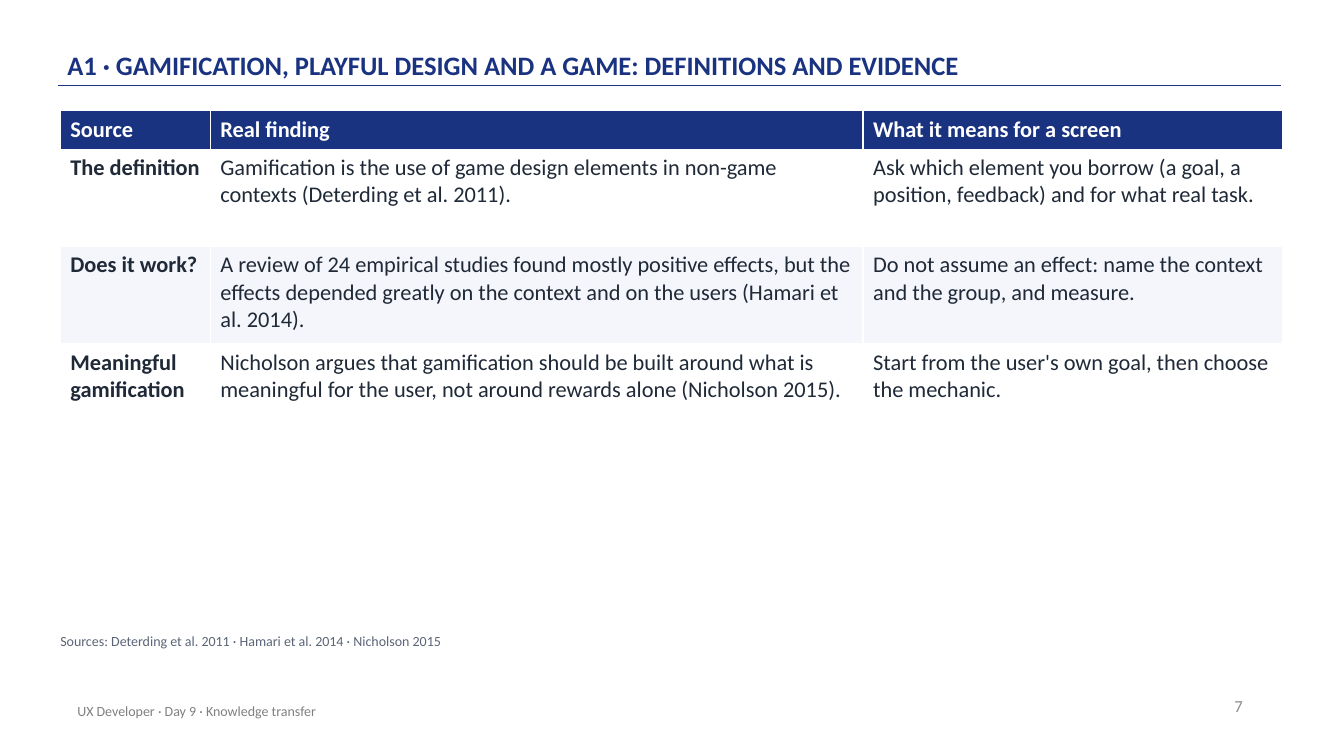
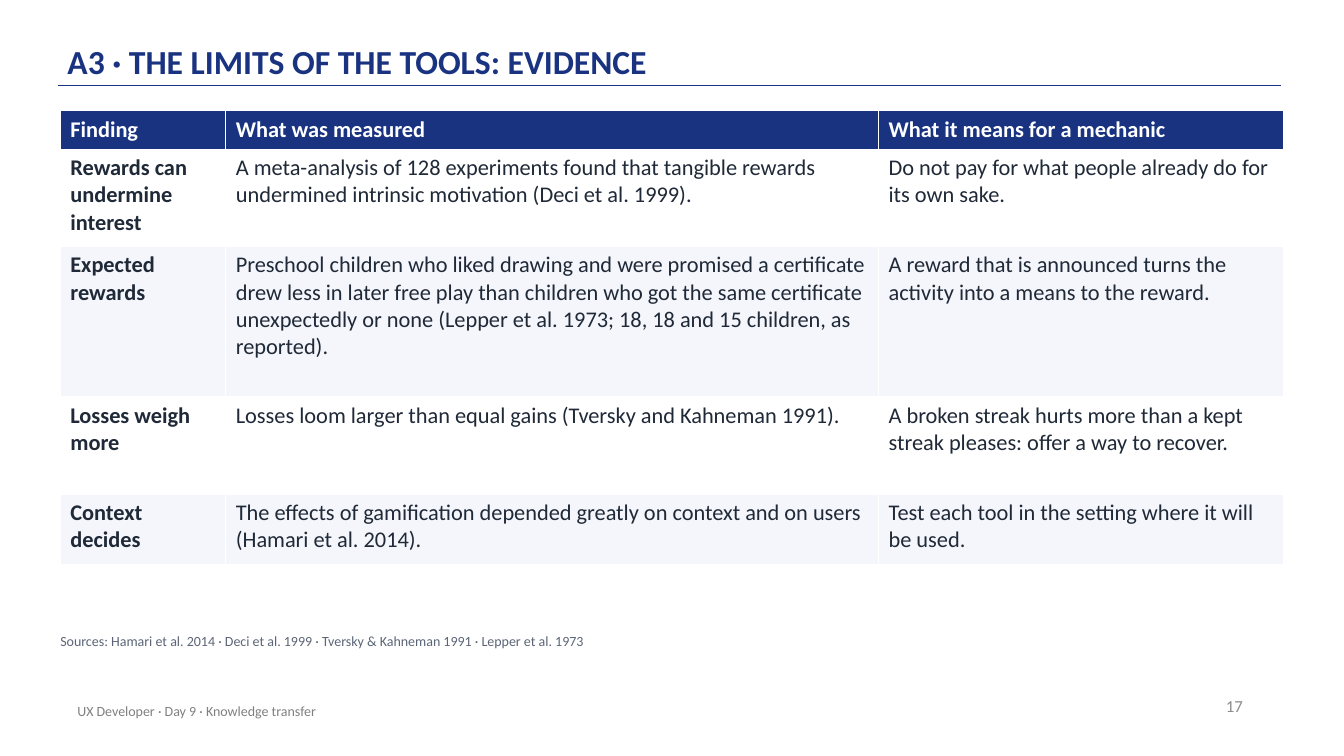
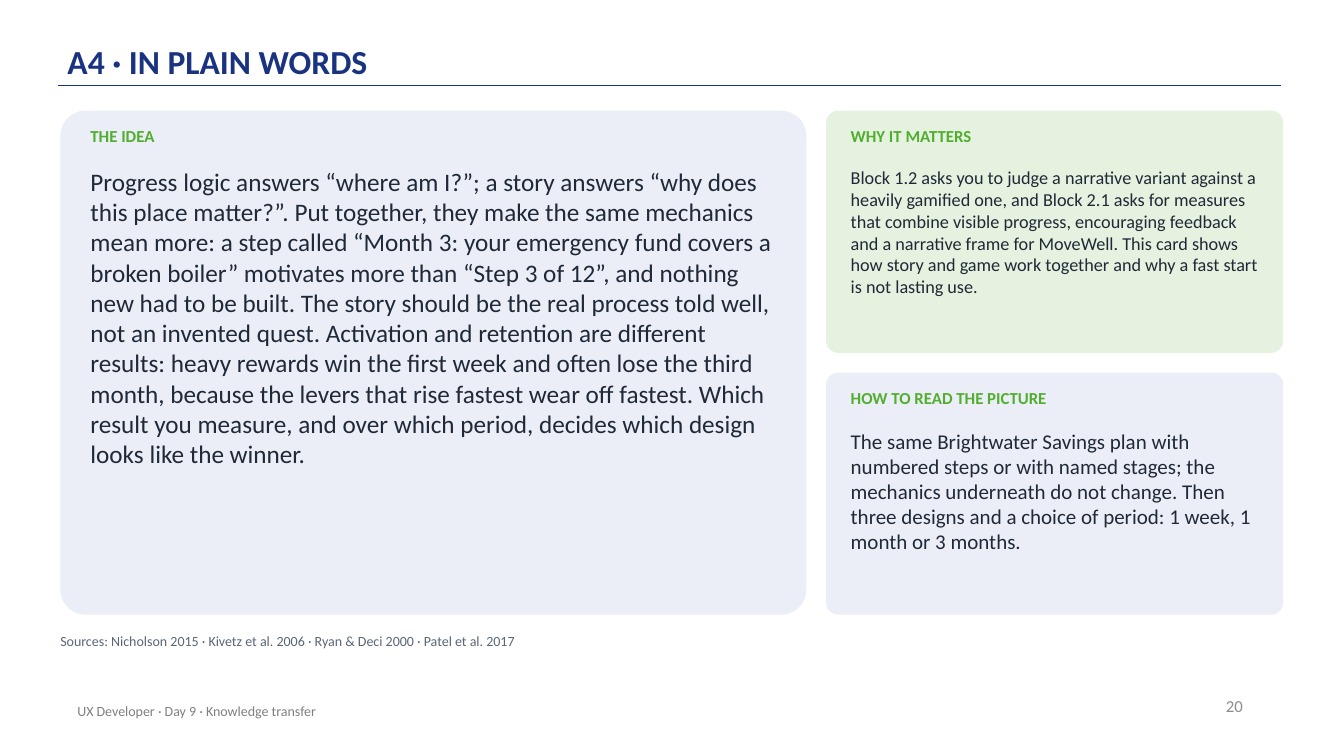
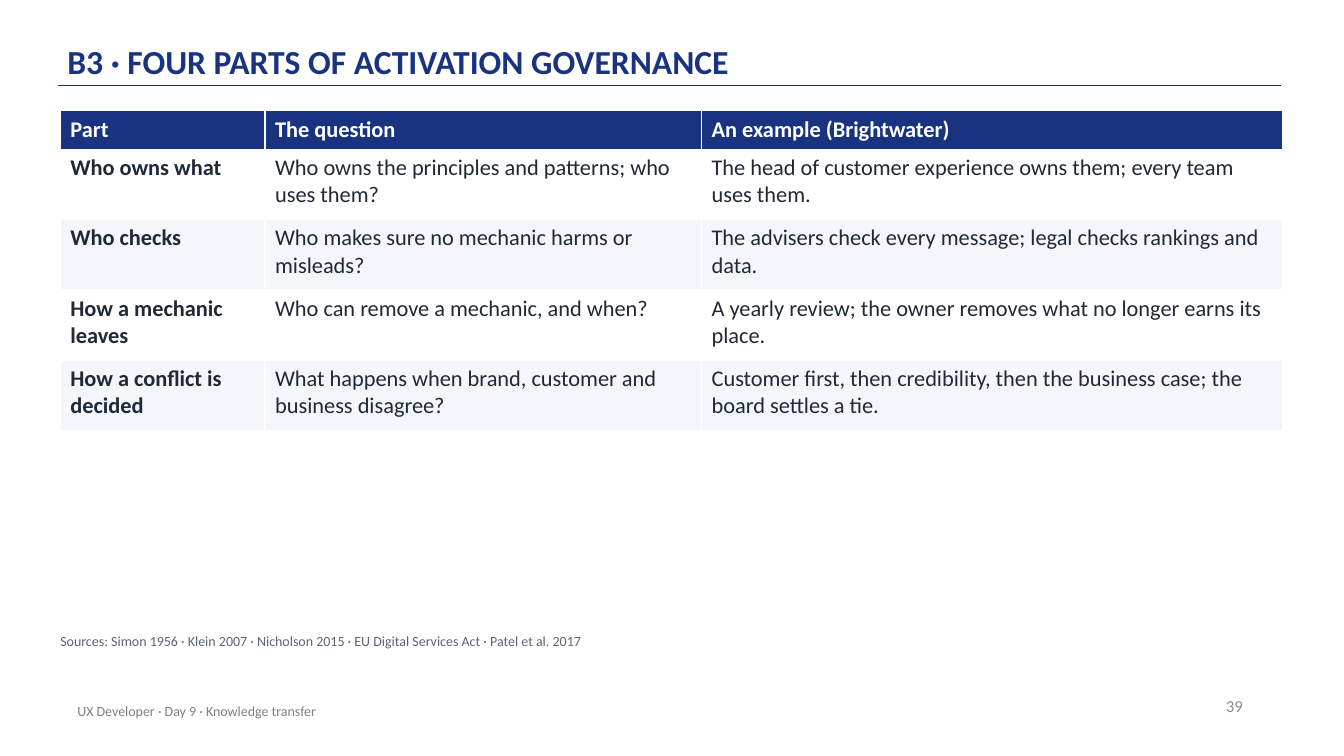
from lxml import etree
from pptx import Presentation
from pptx.dml.color import RGBColor
from pptx.enum.shapes import MSO_CONNECTOR, MSO_SHAPE
from pptx.enum.text import MSO_ANCHOR, PP_ALIGN
from pptx.oxml.ns import qn
from pptx.util import Cm, Pt

LINE, ROUND = MSO_CONNECTOR.STRAIGHT, MSO_SHAPE.ROUNDED_RECTANGLE
TOP, MIDDLE, BOTTOM = MSO_ANCHOR.TOP, MSO_ANCHOR.MIDDLE, MSO_ANCHOR.BOTTOM
LEFT, RIGHT = PP_ALIGN.LEFT, PP_ALIGN.RIGHT

FONT = "Calibri"
NAVY, GREEN, INK, WHITE = "1A3381", "51AE2F", "1F2937", "FFFFFF"
SLATE, GRAY, PALE = "5B6577", "808080", "8C8C8C"
LILAC, MINT, STRIPE = "ECEEF7", "E5F2DF", "F4F6FB"

EDGE, HEAD = 1.52, 2.79  # left and top of the content area, in cm
HIGH, MID, LOW = 2.45, 1.77, 0.97  # row heights, in cm


def color(code):
    return RGBColor.from_string(code)


def style(para, size, tint, bold=False):
    font = para.font
    font.name, font.size, font.bold = FONT, Pt(size), bold
    font.color.rgb = color(tint)


def label(slide, box, text, size, tint, bold=False, anchor=TOP,
          align=LEFT, pads=(0, 0)):
    """Add a one-paragraph text box; pads are the side and top insets in cm."""
    frame = slide.shapes.add_textbox(*map(Cm, box)).text_frame
    frame.word_wrap = True
    frame.vertical_anchor = anchor
    frame.margin_left = frame.margin_right = Cm(pads[0])
    frame.margin_top = frame.margin_bottom = Cm(pads[1])
    para = frame.paragraphs[0]
    para.text = text
    para.alignment = align
    style(para, size, tint, bold)
    return para


def base(deck, title, number, sources, size=24):
    """Add a slide with its title, rule, sources and footer."""
    slide = deck.slides.add_slide(deck.slide_layouts[6])
    rule = slide.shapes.add_connector(
        LINE, Cm(32.28), Cm(2.16), Cm(1.47), Cm(2.16))
    rule.line.color.rgb = color(NAVY)
    rule.line.width = Pt(1)
    etree.SubElement(rule._element.spPr, qn("a:effectLst"))
    para = label(slide, (1.7, 0.3, 27.94, 1.83), title, size, NAVY, True,
                 BOTTOM, pads=(0, 0.08))
    para.line_spacing = 0.9
    label(slide, (EDGE, 15.93, 30.73, 0.76), "Sources: " + sources, 10, SLATE)
    inset = (0.25, 0.13)
    label(slide, (23.95, 17.27, 7.62, 1.02), str(number), 12, PALE,
          anchor=MIDDLE, align=RIGHT, pads=inset)
    label(slide, (1.7, 17.4, 17.02, 1.02),
          "UX Developer · Day 9 · Knowledge transfer", 10, GRAY,
          anchor=MIDDLE, pads=inset)
    return slide


def grid(slide, left, top, widths, heights, rows):
    """Add a table with a navy head, striped rows and a bold first column."""
    box = map(Cm, (left, top, sum(widths), sum(heights)))
    table = slide.shapes.add_table(len(rows), len(widths), *box).table
    for col, width in zip(table.columns, widths):
        col.width = Cm(width)
    for r, (texts, height) in enumerate(zip(rows, heights)):
        table.rows[r].height = Cm(height)
        fill = NAVY if r == 0 else WHITE if r % 2 else STRIPE
        for c, text in enumerate(texts):
            cell = table.cell(r, c)
            cell.fill.solid()
            cell.fill.fore_color.rgb = color(fill)
            cell.text = text
            style(cell.text_frame.paragraphs[0], 16,
                  WHITE if r == 0 else INK, r == 0 or c == 0)


def card(slide, box, pad, fill, head, body, size):
    left, top, width, height = box
    panel = slide.shapes.add_shape(ROUND, *map(Cm, box))
    panel.adjustments[0] = 0.05
    panel.shadow.inherit = False
    panel.fill.solid()
    panel.fill.fore_color.rgb = color(fill)
    panel.line.fill.background()
    inner = width - 2 * pad
    label(slide, (left + pad, top + 0.38, inner, 0.89), head, 12, GREEN, True)
    label(slide, (left + pad, top + 1.4, inner, height - 1.7), body, size, INK)


def main():
    deck = Presentation()
    deck.slide_width, deck.slide_height = Cm(33.87), Cm(19.05)

    slide = base(
        deck,
        "A1 · GAMIFICATION, PLAYFUL DESIGN AND A GAME: DEFINITIONS AND EVIDENCE",
        7, "Deterding et al. 2011 · Hamari et al. 2014 · Nicholson 2015", 19)
    grid(slide, EDGE, HEAD, (3.78, 16.45, 10.58), (LOW, HIGH, HIGH, HIGH), [
        ("Source", "Real finding", "What it means for a screen"),
        ("The definition",
         "Gamification is the use of game design elements in non-game "
         "contexts (Deterding et al. 2011).",
         "Ask which element you borrow (a goal, a position, feedback) and "
         "for what real task."),
        ("Does it work?",
         "A review of 24 empirical studies found mostly positive effects, "
         "but the effects depended greatly on the context and on the users "
         "(Hamari et al. 2014).",
         "Do not assume an effect: name the context and the group, and "
         "measure."),
        ("Meaningful gamification",
         "Nicholson argues that gamification should be built around what is "
         "meaningful for the user, not around rewards alone (Nicholson 2015).",
         "Start from the user's own goal, then choose the mechanic."),
    ])

    slide = base(
        deck, "A3 · THE LIMITS OF THE TOOLS: EVIDENCE", 17,
        "Hamari et al. 2014 · Deci et al. 1999 · Tversky & Kahneman 1991 · "
        "Lepper et al. 1973")
    grid(slide, EDGE, HEAD, (4.17, 16.45, 10.2), (LOW, HIGH, 3.79, HIGH, MID), [
        ("Finding", "What was measured", "What it means for a mechanic"),
        ("Rewards can undermine interest",
         "A meta-analysis of 128 experiments found that tangible rewards "
         "undermined intrinsic motivation (Deci et al. 1999).",
         "Do not pay for what people already do for its own sake."),
        ("Expected rewards",
         "Preschool children who liked drawing and were promised a "
         "certificate drew less in later free play than children who got the "
         "same certificate unexpectedly or none (Lepper et al. 1973; 18, 18 "
         "and 15 children, as reported).",
         "A reward that is announced turns the activity into a means to the "
         "reward."),
        ("Losses weigh more",
         "Losses loom larger than equal gains (Tversky and Kahneman 1991).",
         "A broken streak hurts more than a kept streak pleases: offer a way "
         "to recover."),
        ("Context decides",
         "The effects of gamification depended greatly on context and on "
         "users (Hamari et al. 2014).",
         "Test each tool in the setting where it will be used."),
    ])

    slide = base(
        deck, "A4 · IN PLAIN WORDS", 20,
        "Nicholson 2015 · Kivetz et al. 2006 · Ryan & Deci 2000 · "
        "Patel et al. 2017")
    gap, tall, wide = 0.5, 12.7, 18.8
    side = EDGE + wide + gap
    short = (tall - gap) / 2
    card(slide, (EDGE, HEAD, wide, tall), 0.76, LILAC, "THE IDEA",
         "Progress logic answers “where am I?”; a story answers “why does "
         "this place matter?”. Put together, they make the same mechanics "
         "mean more: a step called “Month 3: your emergency fund covers a "
         "broken boiler” motivates more than “Step 3 of 12”, and nothing new "
         "had to be built. The story should be the real process told well, "
         "not an invented quest. Activation and retention are different "
         "results: heavy rewards win the first week and often lose the third "
         "month, because the levers that rise fastest wear off fastest. "
         "Which result you measure, and over which period, decides which "
         "design looks like the winner.", 18)
    card(slide, (side, HEAD, 11.52, short), 0.62, MINT, "WHY IT MATTERS",
         "Block 1.2 asks you to judge a narrative variant against a heavily "
         "gamified one, and Block 2.1 asks for measures that combine visible "
         "progress, encouraging feedback and a narrative frame for MoveWell. "
         "This card shows how story and game work together and why a fast "
         "start is not lasting use.", 13)
    card(slide, (side, HEAD + short + gap, 11.52, short), 0.62, LILAC,
         "HOW TO READ THE PICTURE",
         "The same Brightwater Savings plan with numbered steps or with "
         "named stages; the mechanics underneath do not change. Then three "
         "designs and a choice of period: 1 week, 1 month or 3 months.", 15)

    slide = base(
        deck, "B3 · FOUR PARTS OF ACTIVATION GOVERNANCE", 39,
        "Simon 1956 · Klein 2007 · Nicholson 2015 · EU Digital Services Act · "
        "Patel et al. 2017")
    grid(slide, EDGE, HEAD, (5.16, 11, 14.65), (LOW, MID, MID, MID, MID), [
        ("Part", "The question", "An example (Brightwater)"),
        ("Who owns what",
         "Who owns the principles and patterns; who uses them?",
         "The head of customer experience owns them; every team uses them."),
        ("Who checks",
         "Who makes sure no mechanic harms or misleads?",
         "The advisers check every message; legal checks rankings and data."),
        ("How a mechanic leaves",
         "Who can remove a mechanic, and when?",
         "A yearly review; the owner removes what no longer earns its place."),
        ("How a conflict is decided",
         "What happens when brand, customer and business disagree?",
         "Customer first, then credibility, then the business case; the "
         "board settles a tie."),
    ])

    deck.save("out.pptx")


if __name__ == "__main__":
    main()
